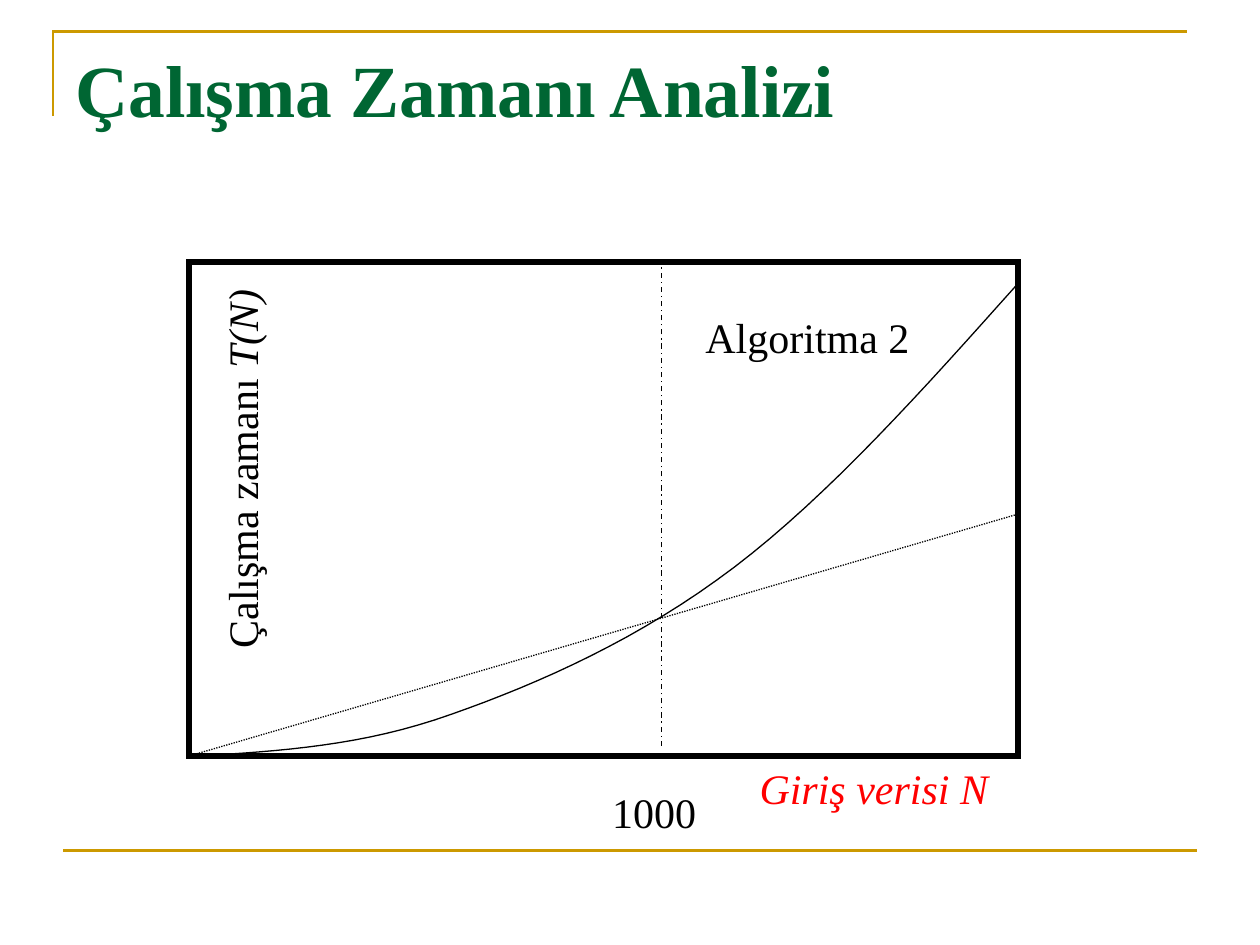
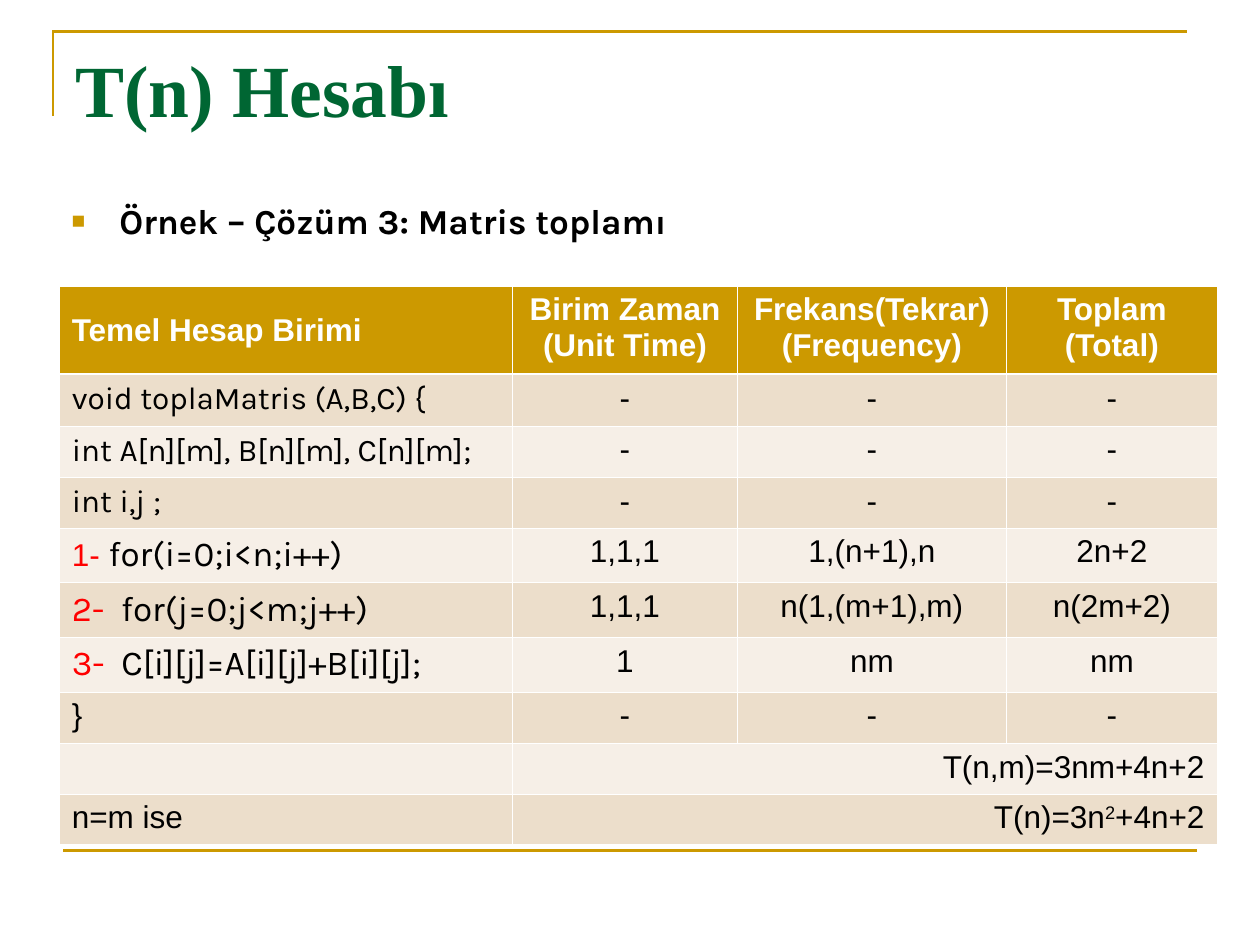
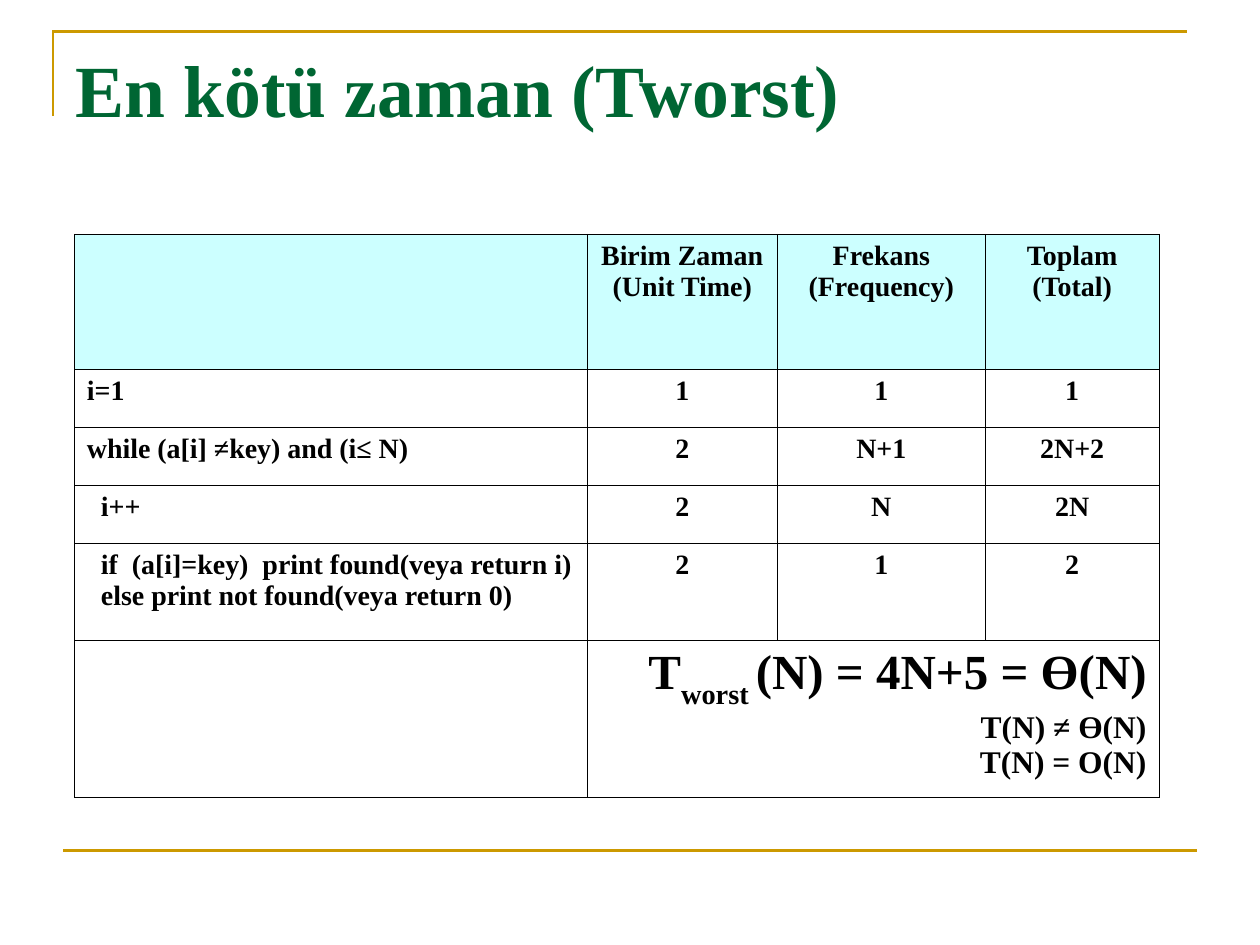
from lxml.etree import SubElement
from pptx import Presentation
from pptx.dml.color import RGBColor
from pptx.enum.dml import MSO_LINE
from pptx.enum.shapes import MSO_CONNECTOR, MSO_SHAPE
from pptx.enum.text import MSO_ANCHOR, PP_ALIGN
from pptx.oxml.ns import qn
from pptx.util import Inches, Pt

GOLD = RGBColor(0xCC, 0x99, 0x00)
GREEN = RGBColor(0x00, 0x66, 0x33)
BLACK = RGBColor(0x00, 0x00, 0x00)
WHITE = RGBColor(0xFF, 0xFF, 0xFF)
RED = RGBColor(0xFF, 0x00, 0x00)
SAND = RGBColor(0xEC, 0xDE, 0xCB)
CREAM = RGBColor(0xF6, 0xEF, 0xE7)
AQUA = RGBColor(0xCC, 0xFF, 0xFF)
SERIF, SANS, KARLA = "Times New Roman", "Arial", "Karla"
LEFT, CENTER, RIGHT, JUSTIFY = PP_ALIGN.LEFT, PP_ALIGN.CENTER, PP_ALIGN.RIGHT, PP_ALIGN.JUSTIFY

# A cell or box holds a list of paragraphs, a paragraph a list of (text, style) runs;
# a plain string stands for one paragraph or one run in the default style.
CODE = {"font": KARLA}
STEP = {"font": KARLA, "size": 20}
STEP_NO = {**STEP, "color": RED}

CHART_LABELS = [  # left, top, width, height, rotation, paragraph, color
    (5.93, 6, 2.2, 0.5, 0, [("Giriş verisi N", {"italic": True})], RED),
    (0.34, 3.42, 3.15, 0.5, 270, ["Çalışma zamanı ", ("T(N)", {"italic": True})], BLACK),
    (5.5, 2.42, 1.95, 0.5, 0, "Algoritma 2", BLACK),
    (4.76, 6.19, 1.1, 0.5, 0, "1000", BLACK),
]
QUADRATIC_START = (1.58, 6)
QUADRATIC = [  # two control points and an end point per curve
    ((2.23, 5.96), (2.88, 5.92), (3.58, 5.67)),
    ((4.29, 5.42), (5.08, 5.07), (5.83, 4.5)),
    ((6.58, 3.93), (7.33, 3.09), (8.08, 2.25)),
]

MATRIX_COLS = [3.6, 1.78, 2.14, 1.67]
MATRIX_HEIGHTS = [0.7, 0.41, 0.41, 0.4, 0.43, 0.43, 0.43, 0.41, 0.4, 0.4]
MATRIX_ROWS = [
    ["Temel Hesap Birimi", ["Birim Zaman", "(Unit Time)"],
     ["Frekans(Tekrar)", "(Frequency)"], ["Toplam", "(Total)"]],
    [[[("void toplaMatris (A,B,C) {", CODE)]], "-", "-", "-"],
    [[[("int A[n][m], B[n][m], C[n][m];", CODE)]], "-", "-", "-"],
    [[[("int i,j ;", CODE)]], "-", "-", "-"],
    [[[("1- ", {"color": RED}), ("for(i=0;i<n;i++)", STEP)]], "1,1,1", "1,(n+1),n", "2n+2"],
    [[[("2-  ", STEP_NO), ("for(j=0;j<m;j++)", STEP)]], "1,1,1", "n(1,(m+1),m)", "n(2m+2)"],
    [[[("3-  ", STEP_NO), ("C[i][j]=A[i][j]+B[i][j];", STEP)]], "1", "nm", "nm"],
    ["}", "-", "-", "-"],
    ["", "T(n,m)=3nm+4n+2"],
    ["n=m ise", [["T(n)=3n", ("2", {"baseline": 30}), "+4n+2"]]],
]

WORST_COLS = [4.07, 1.51, 1.65, 1.38]
WORST_HEIGHTS = [1.07, 0.46, 0.46, 0.46, 0.77, 1.25]
BIG = {"size": 28}
WORST_ROWS = [
    ["", ["Birim Zaman", "(Unit Time)"], ["Frekans", "(Frequency)"], ["Toplam", "(Total)"]],
    ["i=1", "1", "1", "1"],
    ["while (a[i] ≠key) and (i≤ N)", "2", "N+1", "2N+2"],
    ["  i++", "2", "N", "2N"],
    [["  if  (a[i]=key)  print found(veya return i)", "  else print not found(veya return 0)"],
     "2", "1", "2"],
    ["", [[("T", BIG), ("worst ", {**BIG, "baseline": -30}), ("(N) = 4N+5 = Ө(N)", BIG)],
          [("T(N) ≠ Ө(N)", {"size": 18})], [("T(N) = O(N)", {"size": 18})]]],
]


def add_run(p, text, font, size, color, bold=False, italic=False, baseline=0):
    r = p.add_run()
    r.text = text
    r.font.name, r.font.size = font, Pt(size)
    r.font.bold, r.font.italic = bold, italic
    r.font.color.rgb = color
    if baseline:
        r.font._element.set("baseline", str(baseline * 1000))


def write(tf, content, align=LEFT, **style):
    paragraphs = [content] if isinstance(content, str) else content
    for i, runs in enumerate(paragraphs):
        p = tf.paragraphs[0] if i == 0 else tf.add_paragraph()
        p.alignment = align
        for run in [runs] if isinstance(runs, str) else runs:
            text, own = (run, {}) if isinstance(run, str) else run
            if text:
                add_run(p, text, **{**style, **own})


def add_text(s, left, top, width, height, content, **style):
    box = s.shapes.add_textbox(Inches(left), Inches(top), Inches(width), Inches(height))
    box.text_frame.word_wrap = True
    write(box.text_frame, content, **style)
    return box


def add_line(s, x1, y1, x2, y2, color, width, dash=None):
    line = s.shapes.add_connector(MSO_CONNECTOR.STRAIGHT, Inches(x1), Inches(y1), Inches(x2), Inches(y2))
    line.line.color.rgb, line.line.width = color, Pt(width)
    if dash:
        line.line.dash_style = dash
    SubElement(line._element.spPr, qn("a:effectLst"))


def outline(shape, color, width):
    """Leave the shape unfilled and give it a line with sharp corners."""
    shape.shadow.inherit = False
    shape.fill.background()
    shape.line.color.rgb, shape.line.width = color, Pt(width)
    SubElement(shape._element.spPr.find(qn("a:ln")), qn("a:miter"), lim="800000")


def add_path(s, points, color, width):
    points = [(Inches(x), Inches(y)) for x, y in points]
    builder = s.shapes.build_freeform(*points[0])
    builder.add_line_segments(points[1:], close=False)
    outline(builder.convert_to_shape(), color, width)


def curve_points(start, curves, steps=16):
    """Points along a chain of cubic Bezier curves."""
    points = [start]
    for c1, c2, end in curves:
        corners = (points[-1], c1, c2, end)
        for i in range(1, steps + 1):
            t = i / steps
            weights = ((1 - t) ** 3, 3 * t * (1 - t) ** 2, 3 * t * t * (1 - t), t ** 3)
            points.append(tuple(sum(w * c[axis] for w, c in zip(weights, corners)) for axis in (0, 1)))
    return points


def add_slide(prs, title):
    s = prs.slides.add_slide(prs.slide_layouts[6])
    add_path(s, [(0.42, 0.92), (0.42, 0.25), (9.42, 0.25)], GOLD, 1.5)
    add_line(s, 0.5, 6.75, 9.5, 6.75, GOLD, 1.5)
    add_text(s, 0.5, 0.3, 9, 1.25, title, font=SERIF, size=42, color=GREEN, bold=True)
    return s


def set_borders(cell, color, left=0.45, right=0.45, top=0.45, bottom=0.45):
    tc_pr = cell._tc.get_or_add_tcPr()
    for side, width in zip("LRTB", (left, right, top, bottom)):
        ln = SubElement(tc_pr, qn(f"a:ln{side}"), w=str(Pt(width)))
        SubElement(SubElement(ln, qn("a:solidFill")), qn("a:srgbClr"), val=str(color))


def add_grid(s, left, top, cols, heights, rows, format_cell):
    """A table in which a row of two cells stretches its second one to the right edge."""
    frame = s.shapes.add_table(len(rows), len(cols), Inches(left), Inches(top),
                               Inches(sum(cols)), Inches(sum(heights)))
    table = frame.table
    table.first_row = table.horz_banding = False
    for column, width in zip(table.columns, cols):
        column.width = Inches(width)
    for i, (row, height) in enumerate(zip(rows, heights)):
        table.rows[i].height = Inches(height)
        for j in range(len(cols)):
            format_cell(table.cell(i, j), i, j)
        is_total = len(row) == 2
        if is_total:
            table.cell(i, 1).merge(table.cell(i, len(cols) - 1))
        for j, content in enumerate(row):
            yield table.cell(i, j), i, j, content, RIGHT if is_total else CENTER


def format_matrix_cell(cell, i, j):
    set_borders(cell, WHITE, top=1.47 if i == 1 else 0.45, bottom=1.47 if i == 0 else 0.45)
    cell.fill.solid()
    cell.fill.fore_color.rgb = GOLD if i == 0 else SAND if i % 2 else CREAM
    if (i, j) == (0, 0):
        cell.vertical_anchor = MSO_ANCHOR.MIDDLE


def format_worst_cell(cell, i, j):
    set_borders(cell, BLACK)
    if i == 0:
        cell.fill.solid()
        cell.fill.fore_color.rgb = AQUA
    else:
        cell.fill.background()


def growth_slide(prs):
    s = add_slide(prs, "Çalışma Zamanı Analizi")
    plot = s.shapes.add_shape(MSO_SHAPE.RECTANGLE, Inches(1.5), Inches(2.08), Inches(6.58), Inches(3.92))
    outline(plot, BLACK, 3)
    add_line(s, 1.5, 6, 8.08, 4.08, BLACK, 0.75, MSO_LINE.ROUND_DOT)
    add_path(s, curve_points(QUADRATIC_START, QUADRATIC), BLACK, 0.75)
    add_line(s, 5.25, 5.92, 5.25, 2.08, BLACK, 0.75, MSO_LINE.DASH_DOT)
    for left, top, width, height, rotation, label, color in CHART_LABELS:
        box = add_text(s, left, top, width, height, [label], font=SERIF, size=24, color=color)
        box.rotation = rotation


def matrix_slide(prs):
    s = add_slide(prs, "T(n) Hesabı")
    box = add_text(s, 0.47, 1.57, 9, 0.6, "Örnek – Çözüm 3: Matris toplamı", align=JUSTIFY,
                   font=KARLA, size=20, color=BLACK, bold=True)
    p = box.text_frame.paragraphs[0]
    p.line_spacing = 0.9
    p_pr = p._p.get_or_add_pPr()
    p_pr.set("marL", str(Inches(0.38)))
    p_pr.set("indent", str(-Inches(0.38)))
    SubElement(SubElement(p_pr, qn("a:buClr")), qn("a:srgbClr"), val=str(GOLD))
    SubElement(p_pr, qn("a:buSzPct"), val="65000")
    SubElement(p_pr, qn("a:buFont"), typeface=SANS)
    SubElement(p_pr, qn("a:buChar"), char="■")
    for cell, i, j, content, align in add_grid(s, 0.47, 2.27, MATRIX_COLS, MATRIX_HEIGHTS,
                                               MATRIX_ROWS, format_matrix_cell):
        write(cell.text_frame, content, LEFT if j == 0 else align, font=SANS, size=18,
              color=BLACK if i else WHITE, bold=i == 0)


def worst_case_slide(prs):
    s = add_slide(prs, "En kötü zaman (Tworst)")
    for cell, i, j, content, align in add_grid(s, 0.59, 1.86, WORST_COLS, WORST_HEIGHTS,
                                               WORST_ROWS, format_worst_cell):
        write(cell.text_frame, content, JUSTIFY if j == 0 else align, font=SERIF, size=16,
              color=BLACK, bold=True)


def main():
    prs = Presentation()
    prs.slide_width, prs.slide_height = Inches(10), Inches(7.5)
    growth_slide(prs)
    matrix_slide(prs)
    worst_case_slide(prs)
    prs.save("out.pptx")


if __name__ == "__main__":
    main()
